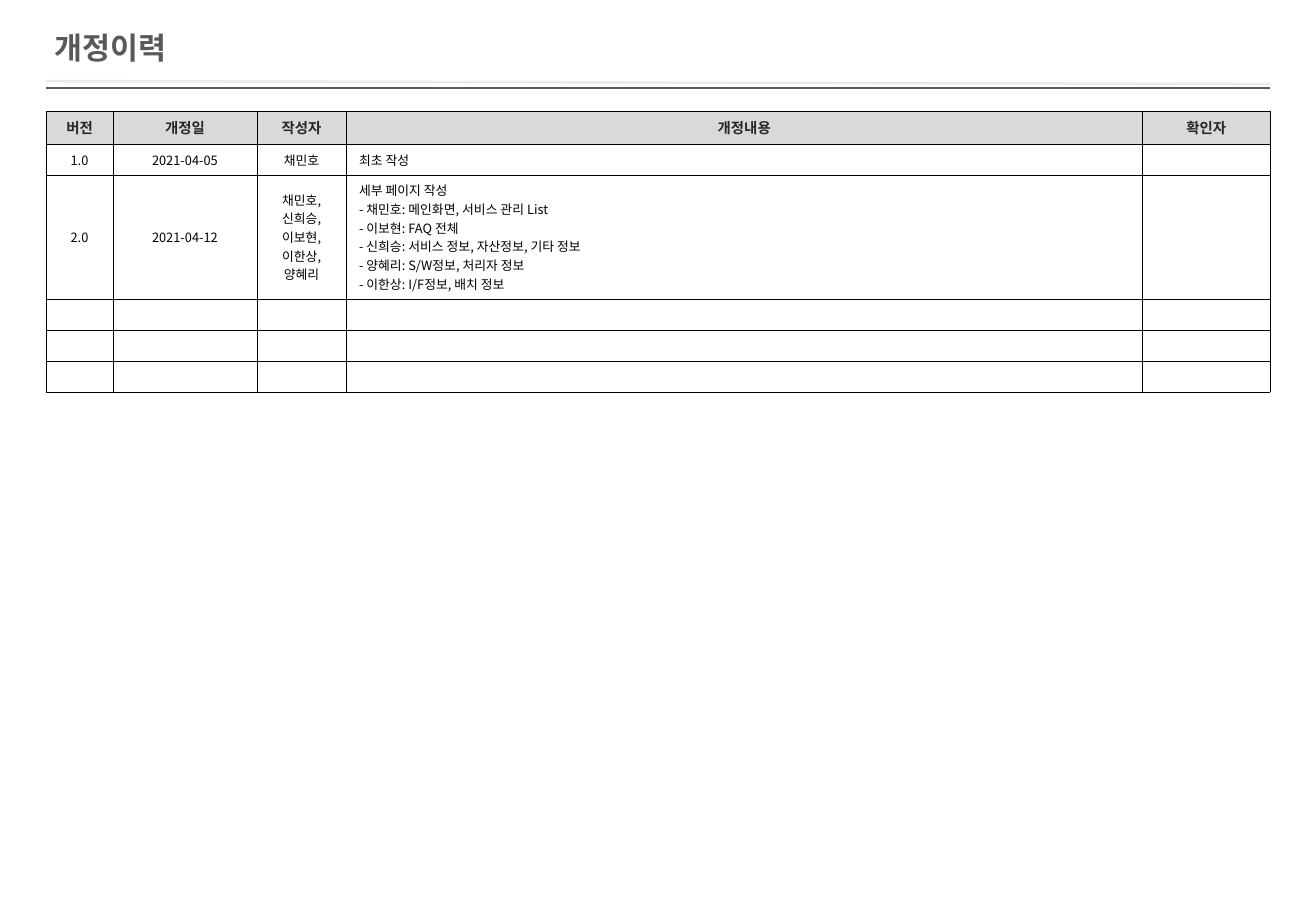
from lxml.etree import SubElement
from pptx import Presentation
from pptx.dml.color import RGBColor
from pptx.enum.shapes import MSO_CONNECTOR
from pptx.enum.text import MSO_ANCHOR, PP_ALIGN
from pptx.oxml.ns import qn
from pptx.util import Emu, Inches, Pt

EMU_PER_PX = 7937.5
FONT = "Noto Sans CJK KR"
LEFT, WIDTH = 46, 1224

COLUMN_WIDTHS = [67, 144, 89, 796, 128]
ROW_HEIGHTS = [33, 30, 124, 31, 31, 31]
DETAIL_COLUMN = 3
HEADINGS = ["버전", "개정일", "작성자", "개정내용", "확인자"]
REVISIONS = [
    ["1.0", "2021-04-05", "채민호", "최초 작성", ""],
    ["2.0", "2021-04-12", "채민호, 신희승, 이보현, 이한상, 양혜리",
     "세부 페이지 작성\n"
     "- 채민호: 메인화면, 서비스 관리 List\n"
     "- 이보현: FAQ 전체\n"
     "- 신희승: 서비스 정보, 자산정보, 기타 정보\n"
     "- 양혜리: S/W정보, 처리자 정보\n"
     "- 이한상: I/F정보, 배치 정보", ""],
]
EMPTY_ROWS = [[""] * len(HEADINGS)] * 3


def px(length):
    return Emu(round(length * EMU_PER_PX))


def color(value):
    return RGBColor.from_string(value)


def add_span(para, text, size, ink, bold=False):
    span = para.add_run()
    span.text = text
    span.font.name = FONT
    span.font.size = Pt(size)
    span.font.bold = bold
    span.font.color.rgb = color(ink)
    SubElement(span.font._element, qn("a:ea"), typeface=FONT)


def add_rule(page, left, top, width, drop, ink, weight):
    rule = page.shapes.add_connector(
        MSO_CONNECTOR.STRAIGHT, px(left), px(top), px(left + width), px(top + drop))
    rule.line.color.rgb = color(ink)
    rule.line.width = Pt(weight)
    SubElement(rule._element.spPr, qn("a:effectLst"))


def add_title(page, left, top, width, height):
    box = page.shapes.add_textbox(px(left), px(top), px(width), px(height))
    frame = box.text_frame
    frame.word_wrap = True
    frame.vertical_anchor = MSO_ANCHOR.MIDDLE
    para = frame.paragraphs[0]
    para.line_spacing = 0.9
    add_span(para, "개정이력", 19, "595959", bold=True)


def set_borders(cell):
    properties = cell._tc.get_or_add_tcPr()
    for position, side in enumerate(("lnL", "lnR", "lnT", "lnB")):
        border = SubElement(properties, qn(f"a:{side}"), w=str(Pt(0.25)))
        fill = SubElement(border, qn("a:solidFill"))
        SubElement(fill, qn("a:srgbClr"), val="000000")
        # Borders come before the fill in the cell properties
        properties.insert(position, border)


def fill_cell(cell, text, heading, align):
    cell.fill.solid()
    cell.fill.fore_color.rgb = color("D9D9D9" if heading else "FFFFFF")
    cell.vertical_anchor = MSO_ANCHOR.MIDDLE
    cell.margin_left = cell.margin_right = px(13)
    cell.margin_top = cell.margin_bottom = px(6)
    set_borders(cell)
    frame = cell.text_frame
    for number, line in enumerate(text.split("\n")):
        para = frame.add_paragraph() if number else frame.paragraphs[0]
        para.alignment = align
        if heading:
            add_span(para, line, 9, "262626", bold=True)
        elif line:
            add_span(para, line, 8, "000000")
        else:
            # Keeps an empty row as low as a row of text
            SubElement(para._p, qn("a:endParaRPr"), sz="800")


def add_history(page, left, top, width, height):
    rows = [HEADINGS] + REVISIONS + EMPTY_ROWS
    table = page.shapes.add_table(
        len(rows), len(HEADINGS), px(left), px(top), px(width), px(height)).table
    table.horz_banding = False
    for column, column_width in zip(table.columns, COLUMN_WIDTHS):
        column.width = px(column_width)
    for row, row_height in zip(table.rows, ROW_HEIGHTS):
        row.height = px(row_height)
    for row_number, texts in enumerate(rows):
        heading = row_number == 0
        for column_number, text in enumerate(texts):
            detail = column_number == DETAIL_COLUMN and not heading
            align = PP_ALIGN.LEFT if detail else PP_ALIGN.CENTER
            fill_cell(table.cell(row_number, column_number), text, heading, align)


def main():
    deck = Presentation()
    deck.slide_width, deck.slide_height = Inches(11.42), Inches(7.99)
    page = deck.slides.add_slide(deck.slide_layouts[6])

    # Pale rule under the title
    add_rule(page, LEFT, 81, WIDTH, 3, "EAEAEA", 1.5)
    # Revision history
    add_history(page, LEFT, 111, WIDTH, sum(ROW_HEIGHTS))
    # Title and its dark rule
    add_rule(page, LEFT, 88, WIDTH, 0, "595959", 1)
    add_title(page, 43, 26, 956, 48)

    deck.save("out.pptx")


if __name__ == "__main__":
    main()
